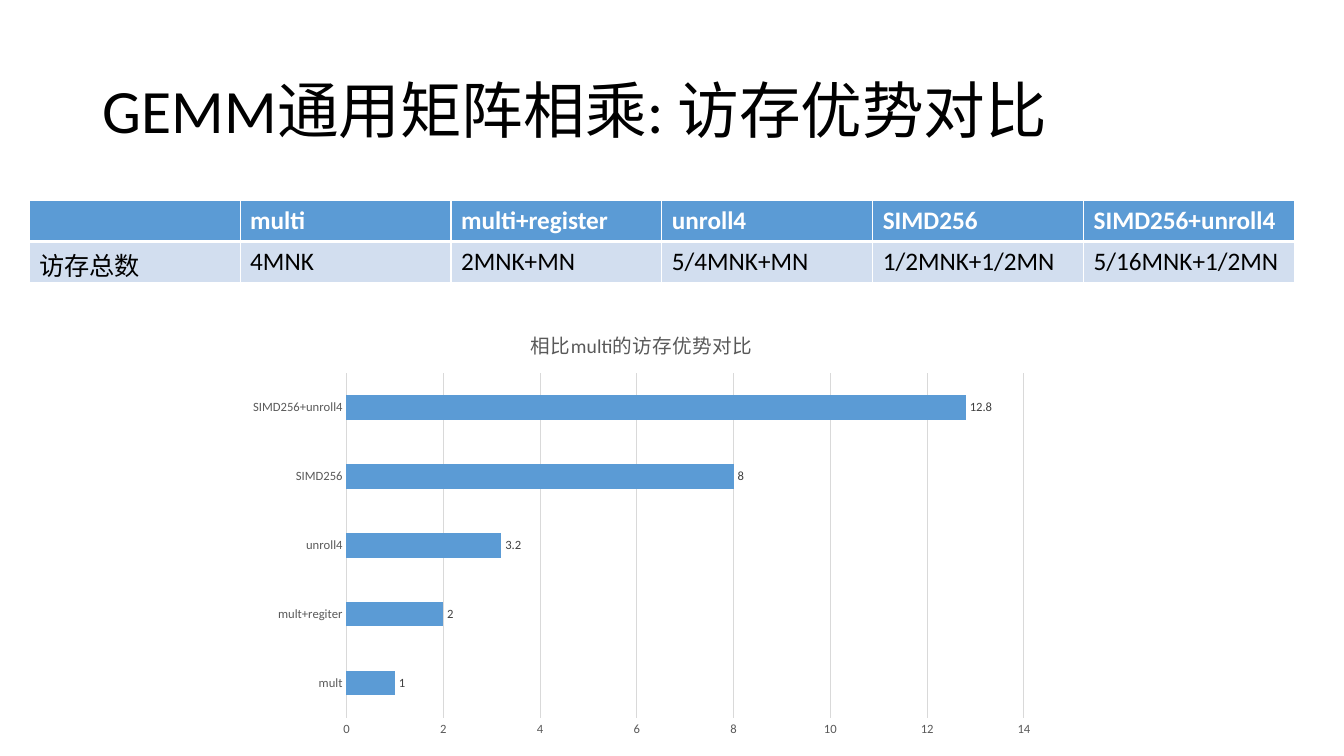
from dataclasses import dataclass

from pptx import Presentation
from pptx import util as u
from pptx.chart import data as chart_data
from pptx.dml import color
from pptx.enum import chart as chart_enum
from pptx.enum import text
from pptx.oxml import parse_xml
from pptx.oxml import ns


@dataclass(frozen=True)
class Theme:
    face: str = "Calibri"
    ink: str = "000000"
    paper: str = "FFFFFF"
    accent: str = "5B9BD5"
    band: str = "D2DEEF"
    grid: str = "D9D9D9"
    muted: str = "595959"
    label: str = "404040"
    title_size: float = 44
    table_size: float = 18
    chart_title_size: float = 14
    chart_size: float = 10
    axis_size: float = 9


def rgb(value):
    return color.RGBColor.from_string(value)


def assign(target, **values):
    for name, value in values.items():
        setattr(target, name, value)


class SlideBuilder:
    def __init__(self, presentation, theme):
        self.theme = theme
        self.width = presentation.slide_width
        self.height = presentation.slide_height
        self.slide = presentation.slides.add_slide(presentation.slide_layouts[6])

    def place(self, left, top, width, height):
        return (int(left * self.width), int(top * self.height),
                int(width * self.width), int(height * self.height))

    def style(self, font, size, ink, bold=False):
        assign(font, name=self.theme.face, size=u.Pt(size), bold=bold)
        font.color.rgb = rgb(ink)

    def title(self, words, area):
        frame = self.slide.shapes.add_textbox(*self.place(*area)).text_frame
        assign(frame, word_wrap=True, vertical_anchor=text.MSO_ANCHOR.MIDDLE)
        paragraph = frame.paragraphs[0]
        assign(paragraph, text=words, line_spacing=0.9)
        self.style(paragraph.runs[0].font, self.theme.title_size, self.theme.ink)

    def border(self, cell, side, points):
        cell._tc.get_or_add_tcPr().append(parse_xml(
            f'<a:ln{side} {ns.nsdecls("a")} w="{u.Pt(points)}"><a:solidFill>'
            f'<a:srgbClr val="{self.theme.paper}"/></a:solidFill></a:ln{side}>'))

    def table(self, rows, area):
        theme = self.theme
        frame = self.slide.shapes.add_table(len(rows), len(rows[0]), *self.place(*area))
        for row, words in enumerate(rows):
            header = row == 0
            edges = {"L": 1, "R": 1, "T": 1 if header else 3, "B": 3 if header else 1}
            for column, word in enumerate(words):
                cell = frame.table.cell(row, column)
                for side, points in edges.items():
                    self.border(cell, side, points)
                cell.fill.solid()
                cell.fill.fore_color.rgb = rgb(theme.accent if header else theme.band)
                cell.text = word
                self.style(cell.text_frame.paragraphs[0].font, theme.table_size,
                           theme.paper if header else theme.ink, header)

    def line(self, line_format):
        line_format.color.rgb = rgb(self.theme.grid)
        line_format.width = u.Pt(0.75)

    def bar_chart(self, heading, values, area):
        theme = self.theme
        source = chart_data.CategoryChartData()
        source.categories = list(values)
        source.add_series("Series 1", list(values.values()))
        chart = self.slide.shapes.add_chart(
            chart_enum.XL_CHART_TYPE.BAR_CLUSTERED, *self.place(*area), source).chart
        self.style(chart.font, theme.chart_size, theme.ink)
        assign(chart, has_legend=False, has_title=True)
        chart.chart_title.include_in_layout = False
        paragraph = chart.chart_title.text_frame.paragraphs[0]
        paragraph.text = heading
        self.style(paragraph.runs[0].font, theme.chart_title_size, theme.muted)

        for axis in (chart.category_axis, chart.value_axis):
            assign(axis, major_tick_mark=chart_enum.XL_TICK_MARK.NONE,
                   minor_tick_mark=chart_enum.XL_TICK_MARK.NONE)
            self.style(axis.tick_labels.font, theme.axis_size, theme.muted)
        self.line(chart.category_axis.format.line)
        assign(chart.value_axis, minimum_scale=0, maximum_scale=14, major_unit=2)
        chart.value_axis.format.line.fill.background()
        self.line(chart.value_axis.major_gridlines.format.line)

        plot = chart.plots[0]
        assign(plot, gap_width=182, vary_by_categories=False, has_data_labels=True)
        assign(plot.data_labels, show_value=True,
               position=chart_enum.XL_LABEL_POSITION.OUTSIDE_END)
        self.style(plot.data_labels.font, theme.axis_size, theme.label)
        fill = plot.series[0].format.fill
        fill.solid()
        fill.fore_color.rgb = rgb(theme.accent)


def main():
    presentation = Presentation()
    assign(presentation, slide_width=u.Inches(13.33), slide_height=u.Inches(7.5))
    builder = SlideBuilder(presentation, Theme())
    builder.title("GEMM通用矩阵相乘: 访存优势对比", (0.069, 0.053, 0.863, 0.193))
    builder.table([
        ["", "multi", "multi+register", "unroll4", "SIMD256", "SIMD256+unroll4"],
        ["访存总数", "4MNK", "2MNK+MN", "5/4MNK+MN", "1/2MNK+1/2MN", "5/16MNK+1/2MN"],
    ], (0.0218, 0.2653, 0.9415, 0.108))
    builder.bar_chart("相比multi的访存优势对比", {
        "mult": 1, "mult+regiter": 2, "unroll4": 3.2, "SIMD256": 8, "SIMD256+unroll4": 12.8,
    }, (0.1763, 0.4107, 0.6024, 0.5747))
    presentation.save("out.pptx")


if __name__ == "__main__":
    main()
